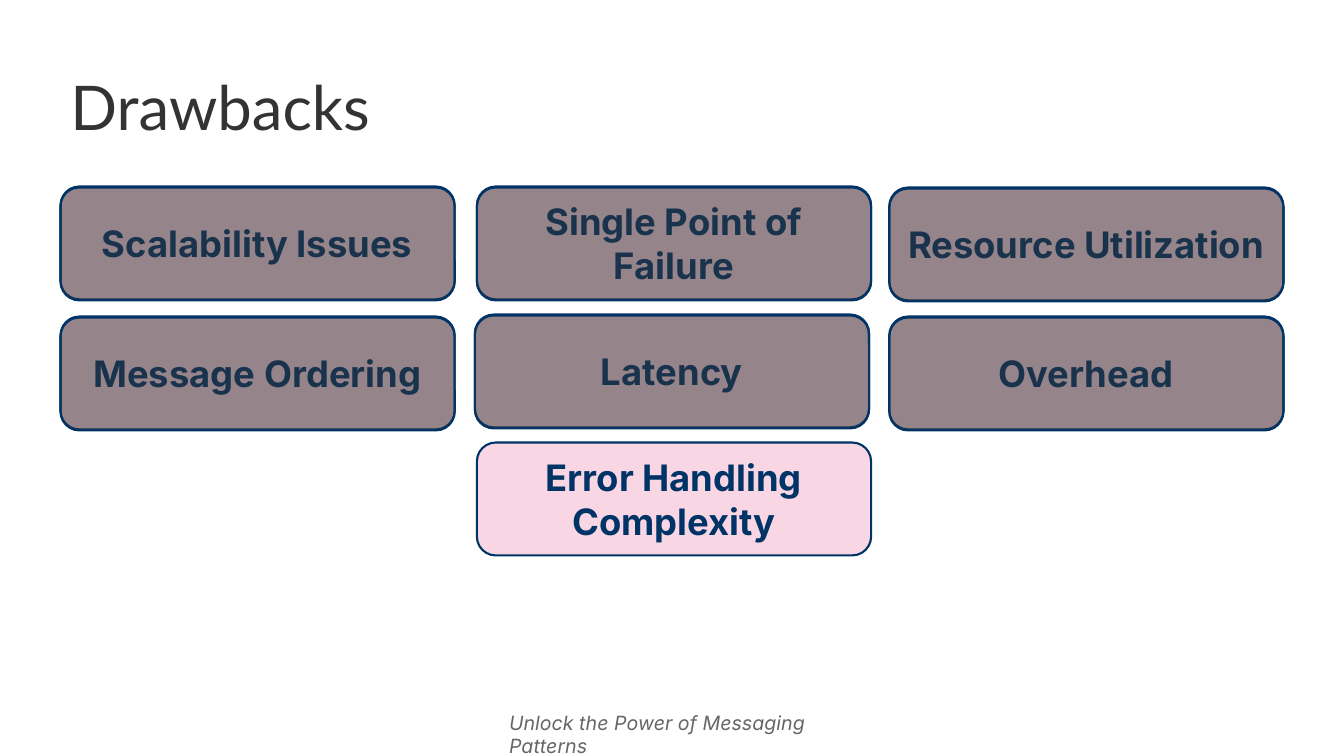
from dataclasses import dataclass

import pptx
import pptx.dml.color
import pptx.enum.shapes
import pptx.enum.text
import pptx.oxml
import pptx.oxml.ns
import pptx.util
from pptx.util import Inches

NAVY = pptx.dml.color.RGBColor(0x00, 0x33, 0x66)
PINK = pptx.dml.color.RGBColor(0xDD, 0x33, 0x77)
CHARCOAL = pptx.dml.color.RGBColor(0x33, 0x33, 0x33)
GREY = pptx.dml.color.RGBColor(0x66, 0x66, 0x66)

CARD_WIDTH, CARD_HEIGHT = 3.91, 1.12
VEIL_DROP = 0.01


@dataclass(frozen=True)
class Drawback:
    label: str
    left: float
    top: float
    veiled: bool = True


DRAWBACKS = [
    Drawback("Scalability Issues", 0.6, 1.85),
    Drawback("Single Point of Failure", 4.73, 1.85),
    Drawback("Resource Utilization", 8.82, 1.86),
    Drawback("Message Ordering", 0.6, 3.14),
    Drawback("Latency", 4.71, 3.12),
    Drawback("Overhead", 8.82, 3.14),
    Drawback("Error Handling Complexity", 4.73, 4.39, veiled=False),
]


def add_run(paragraph, text: str, size: int, font: str,
            color: pptx.dml.color.RGBColor, bold: bool = False,
            italic: bool = False) -> None:
    run = paragraph.add_run()
    run.text = text
    run.font.size = pptx.util.Pt(size)
    run.font.name = font
    run.font.color.rgb = color
    run.font.bold = bold
    run.font.italic = italic


def add_card(slide, left: float, top: float,
             color: pptx.dml.color.RGBColor, opacity: int):
    """Add an outlined rounded card with the given opacity in percent."""
    card = slide.shapes.add_shape(
        pptx.enum.shapes.MSO_SHAPE.ROUNDED_RECTANGLE,
        Inches(left), Inches(top), Inches(CARD_WIDTH), Inches(CARD_HEIGHT))
    card.shadow.inherit = False
    card.fill.solid()
    card.fill.fore_color.rgb = color
    srgb = card.fill._xPr.find(".//" + pptx.oxml.ns.qn("a:srgbClr"))
    alpha = pptx.oxml.parse_xml(
        f'<a:alpha {pptx.oxml.ns.nsdecls("a")} val="{opacity * 1000}"/>')
    srgb.append(alpha)
    card.line.color.rgb = NAVY
    card.line.width = pptx.util.Pt(1.5)
    return card


def add_drawback(slide, drawback: Drawback) -> None:
    card = add_card(slide, drawback.left, drawback.top, PINK, 20)
    frame = card.text_frame
    frame.word_wrap = True
    frame.vertical_anchor = pptx.enum.text.MSO_ANCHOR.MIDDLE
    paragraph = frame.paragraphs[0]
    paragraph.alignment = pptx.enum.text.PP_ALIGN.CENTER
    add_run(paragraph, drawback.label, 26, "Inter", NAVY, bold=True)


def add_text_frame(slide, left: float, top: float, width: float, height: float):
    frame = slide.shapes.add_textbox(
        Inches(left), Inches(top), Inches(width), Inches(height)).text_frame
    frame.word_wrap = True
    return frame


def main() -> None:
    deck = pptx.Presentation()
    deck.slide_width, deck.slide_height = Inches(13.33), Inches(7.5)
    slide = deck.slides.add_slide(deck.slide_layouts[6])

    # Footer
    footer = add_text_frame(slide, 4.95, 7, 3.42, 0.34)
    add_run(footer.paragraphs[0], "Unlock the Power of Messaging Patterns",
            14, "Inter", GREY, italic=True)

    # Title
    title = add_text_frame(slide, 0.6, 0.5, 12.14, 1.2)
    title.vertical_anchor = pptx.enum.text.MSO_ANCHOR.MIDDLE
    title.paragraphs[0].line_spacing = 0.9
    add_run(title.paragraphs[0], "Drawbacks", 44, "Lato", CHARCOAL)

    # Drawback cards
    for drawback in DRAWBACKS:
        add_drawback(slide, drawback)

    # Dark veils over the drawbacks already covered
    for drawback in DRAWBACKS:
        if drawback.veiled:
            add_card(slide, drawback.left, drawback.top + VEIL_DROP, CHARCOAL, 50)

    deck.save("out.pptx")


if __name__ == "__main__":
    main()
